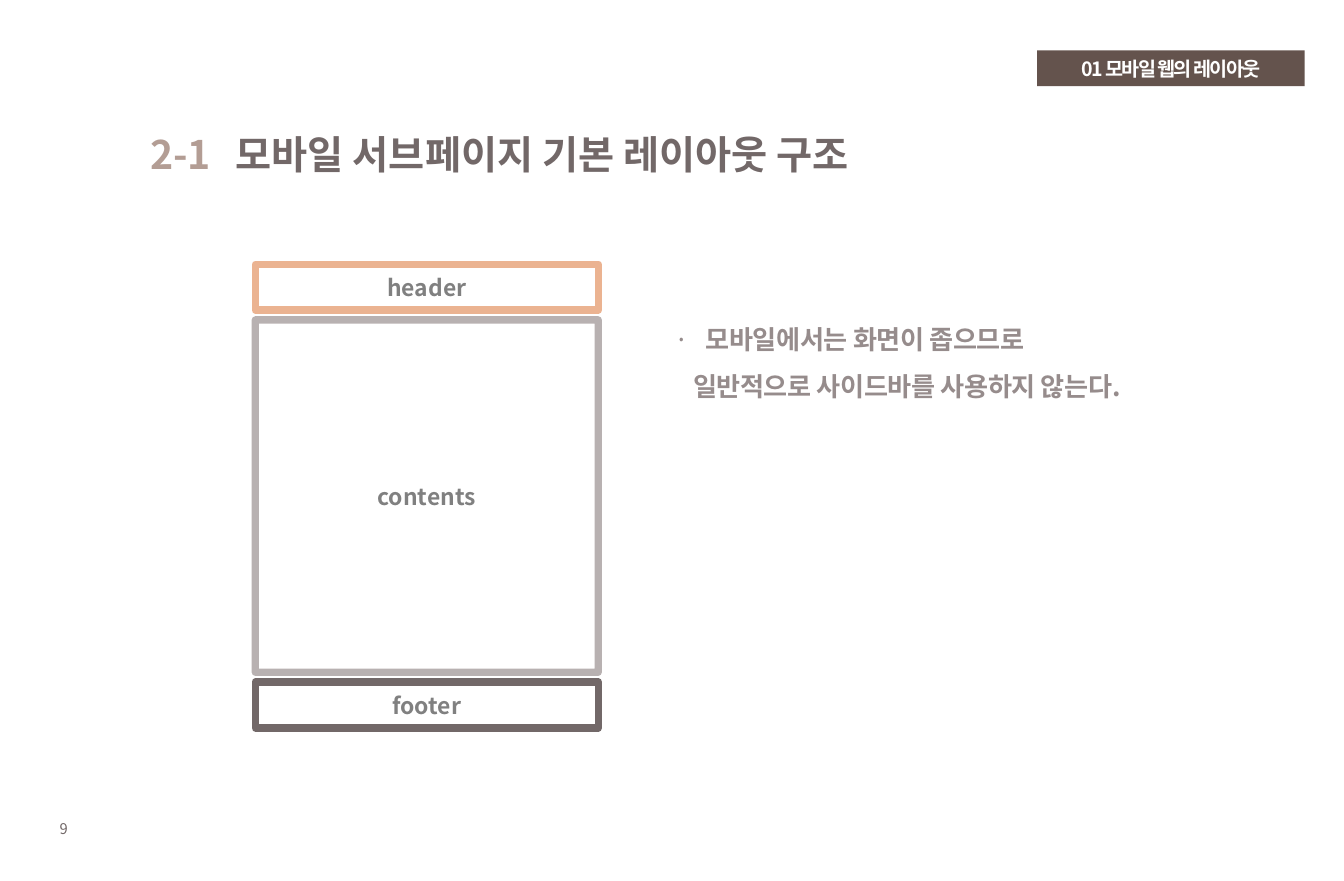
from dataclasses import dataclass

from lxml.etree import SubElement
from pptx import Presentation
from pptx.dml.color import RGBColor
from pptx.enum.shapes import MSO_SHAPE as Preset
from pptx.enum.text import MSO_ANCHOR as Anchor, MSO_AUTO_SIZE as AutoSize, PP_ALIGN as Align
from pptx.oxml.ns import qn
from pptx.util import Cm, Pt


@dataclass(frozen=True)
class Theme:
    font: str = "Noto Sans CJK KR"
    dark: str = "726868"
    rose: str = "B39D94"
    peach: str = "EBB391"
    mauve: str = "8E8282"
    label: str = "808080"
    body: str = "968C8C"
    tag: str = "594740"
    white: str = "FFFFFF"
    title_size: float = 24
    body_size: float = 16
    label_size: float = 14
    tag_size: float = 12
    number_size: float = 9
    border: float = 4.5


def write(paragraph, text, *, size, color, font, bold=True, spacing=0):
    """Add one formatted run to a paragraph."""
    run = paragraph.add_run()
    run.text = text
    run.font.size, run.font.bold, run.font.name = Pt(size), bold, font
    run.font.color.rgb = RGBColor.from_string(color)
    properties = run.font._element
    properties.set("spc", str(round(spacing * 100)))
    SubElement(properties, qn("a:ea"), typeface=font)


def set_opacity(fill_format, percent):
    color = fill_format._xPr.find(qn("a:solidFill"))[0]
    SubElement(color, qn("a:alpha"), val=str(percent * 1000))


class SlideBuilder:
    def __init__(self, slide, theme):
        self.slide, self.theme = slide, theme

    def place(self, shape, left, top, width, height):
        shape.left, shape.top = Cm(left), Cm(top)
        shape.width, shape.height = Cm(width), Cm(height)
        shape.text_frame.word_wrap = True
        shape.text_frame.auto_size = AutoSize.NONE
        return shape.text_frame

    def title(self, number, heading, box, tab):
        theme = self.theme
        frame = self.place(self.slide.shapes.title, *box)
        frame.vertical_anchor = Anchor.MIDDLE
        line = frame.paragraphs[0]
        line.alignment = Align.LEFT
        tabs = SubElement(line._p.get_or_add_pPr(), qn("a:tabLst"))
        SubElement(tabs, qn("a:tab"), pos=str(Cm(tab)), algn="l")
        style = dict(size=theme.title_size, font=theme.font)
        write(line, number + "\t", color=theme.rose, spacing=-0.2, **style)
        write(line, heading, color=theme.dark, **style)

    def explanation(self, lines, box):
        """Each line is (text, bullet or None, left margin in cm)."""
        theme = self.theme
        frame = self.place(self.slide.placeholders[1], *box)
        for index, (text, bullet, margin) in enumerate(lines):
            line = frame.add_paragraph() if index else frame.paragraphs[0]
            line.line_spacing, line.space_before = 1.5, Pt(0)
            layout = line._p.get_or_add_pPr()
            layout.set("marL", str(Cm(margin)))
            layout.set("indent", str(Cm(-margin if bullet else 0)))
            if bullet:
                SubElement(layout, qn("a:buFont"), typeface=theme.font)
                SubElement(layout, qn("a:buChar"), char=bullet)
            else:
                SubElement(layout, qn("a:buNone"))
            write(line, text, size=theme.body_size, color=theme.body,
                  font=theme.font, spacing=-0.2)

    def box(self, text, box, *, size, color, fill=None, border=None, opacity=100, spacing=0):
        shape = self.slide.shapes.add_shape(Preset.RECTANGLE, 0, 0, 0, 0)
        shape.shadow.inherit = False
        frame = self.place(shape, *box)
        frame.vertical_anchor = Anchor.MIDDLE
        if border:
            shape.fill.background()
            shape.line.width = Pt(self.theme.border)
            paint = shape.line.fill
        else:
            shape.line.fill.background()
            paint = shape.fill
        paint.solid()
        paint.fore_color.rgb = RGBColor.from_string(border or fill)
        if opacity < 100:
            set_opacity(paint, opacity)
        line = frame.paragraphs[0]
        line.alignment = Align.CENTER
        write(line, text, size=size, color=color, font=self.theme.font, spacing=spacing)

    def page_number(self, text, box):
        frame = self.place(self.slide.shapes.add_textbox(0, 0, 0, 0), *box)
        write(frame.paragraphs[0], text, size=self.theme.number_size,
              color=self.theme.dark, font=self.theme.font, bold=False)


def main():
    theme = Theme()
    deck = Presentation()
    deck.slide_width, deck.slide_height = Cm(29), Cm(19)
    builder = SlideBuilder(deck.slides.add_slide(deck.slide_layouts[1]), theme)

    # Heading, chapter tag and page number
    builder.title("2-1", "모바일 서브페이지 기본 레이아웃 구조", (3, 2.31, 23.93, 2), tab=1.83)
    builder.box("01 모바일 웹의 레이아웃", (22.38, 1.09, 5.77, 0.77), size=theme.tag_size,
                color=theme.white, fill=theme.tag, opacity=93, spacing=-1)
    builder.page_number("9", (1.04, 17.55, 1.37, 0.64))

    # Page structure, stacked from top to bottom
    left, top, width, gap = 5.51, 5.7, 7.4, 0.21
    sections = [
        ("header", 0.99, theme.peach, 100),
        ("contents", 7.6, theme.mauve, 61),
        ("footer", 0.99, theme.dark, 100),
    ]
    for name, height, border, opacity in sections:
        builder.box(name, (left, top, width, height), size=theme.label_size,
                    color=theme.label, border=border, opacity=opacity)
        top += height + gap

    # Explanation beside the structure
    builder.explanation([
        ("모바일에서는 화면이 좁으므로", "·", 0.67),
        ("일반적으로 사이드바를 사용하지 않는다.", None, 0.4),
    ], (14.3, 6.5, 12.8, 6))

    deck.save("out.pptx")


if __name__ == "__main__":
    main()
